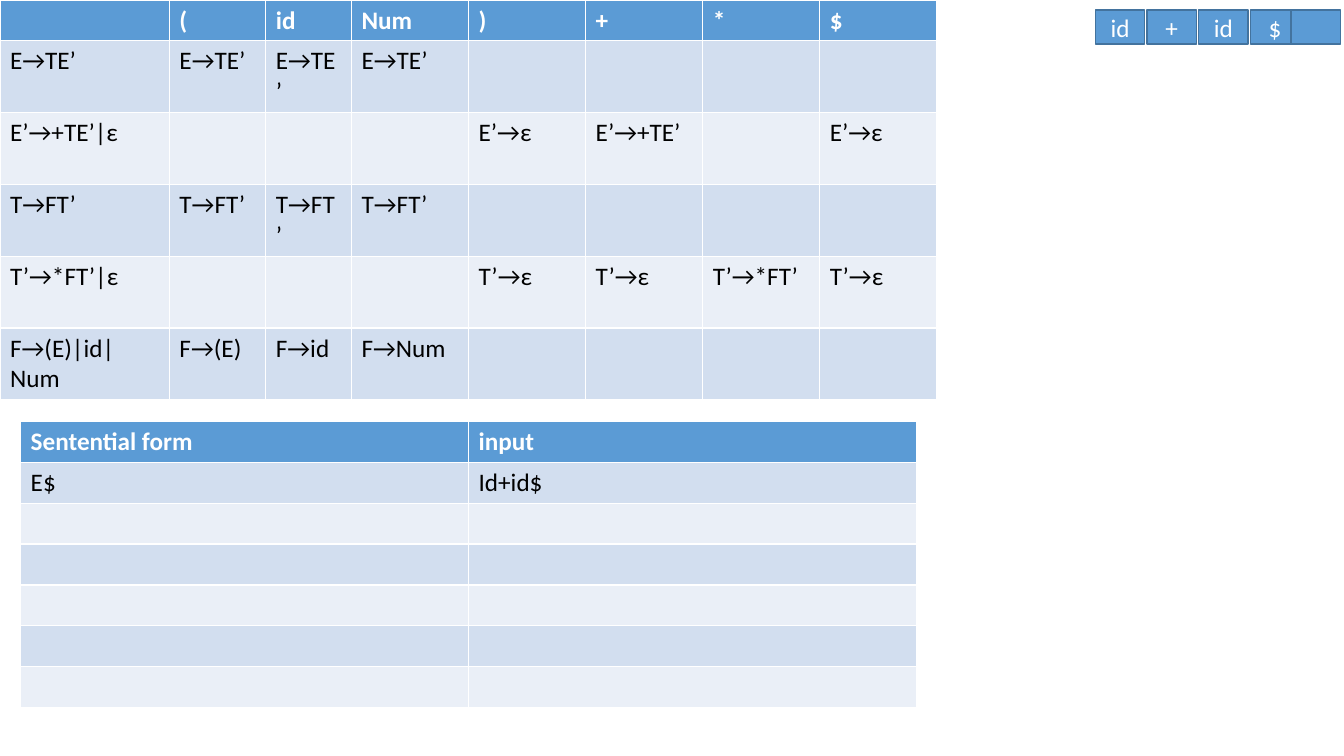
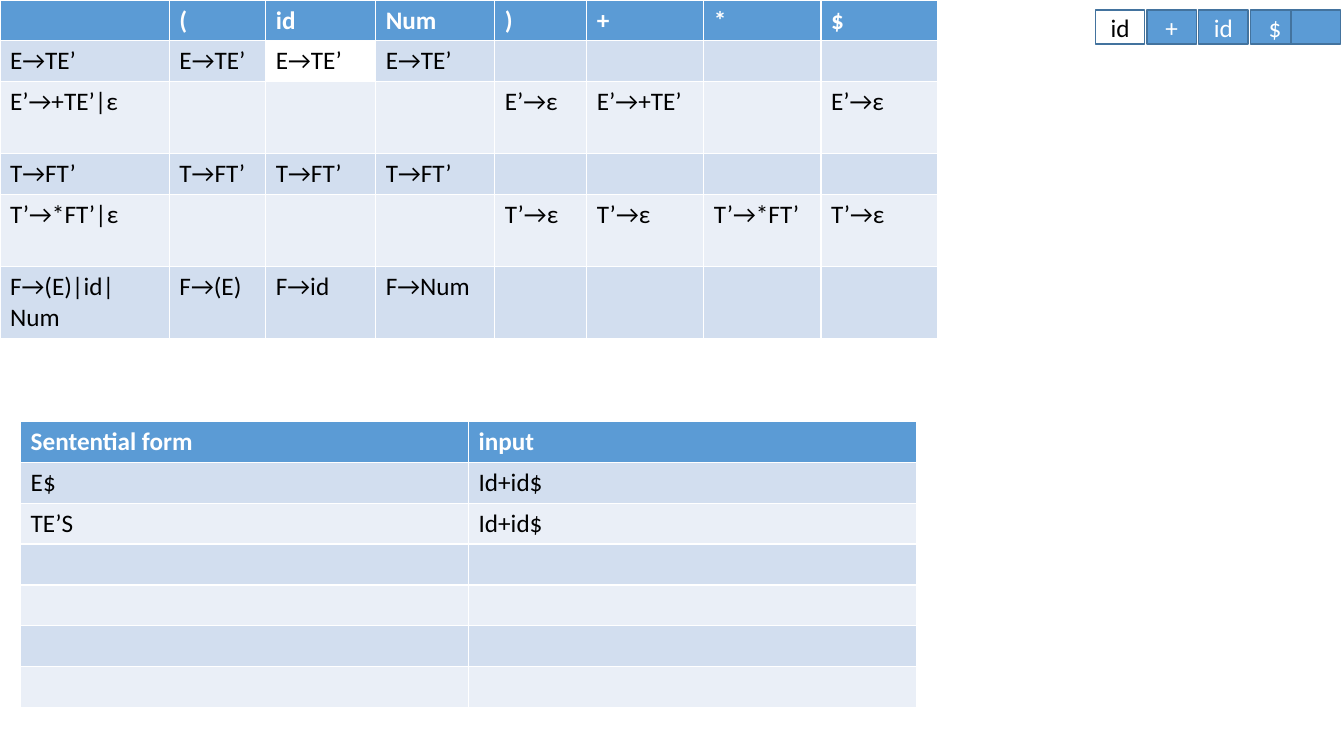
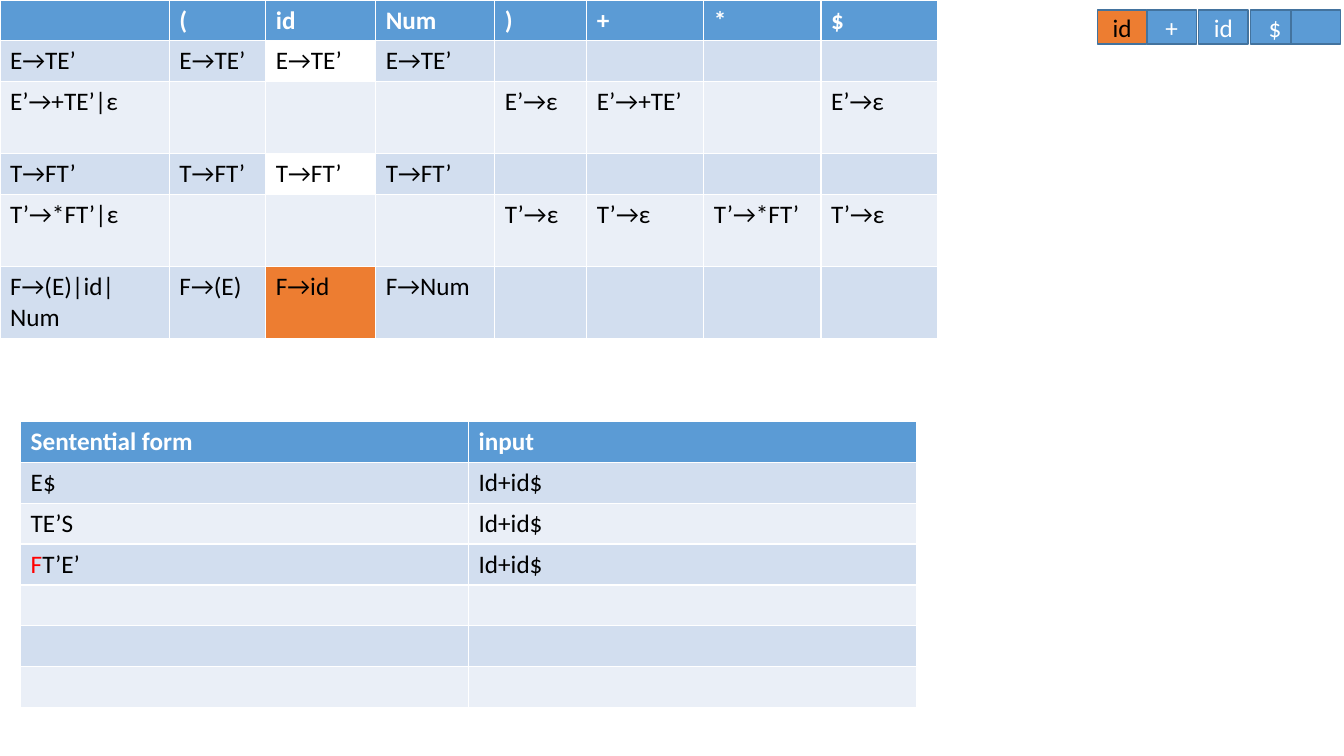
from dataclasses import dataclass, field
from typing import NamedTuple, Sequence

from pptx import Presentation
from pptx import util as u
from pptx.dml.color import RGBColor
from pptx.enum import shapes, text

BLUE = RGBColor(0x5B, 0x9B, 0xD5)
OUTLINE = RGBColor(0x43, 0x73, 0x9E)
BAND_DARK = RGBColor(0xD2, 0xDE, 0xEF)
BAND_LIGHT = RGBColor(0xEA, 0xEF, 0xF7)
ORANGE = RGBColor(0xED, 0x7D, 0x31)
RED = RGBColor(0xFF, 0x00, 0x00)
WHITE = RGBColor(0xFF, 0xFF, 0xFF)
BLACK = RGBColor(0x00, 0x00, 0x00)
FONT = "Calibri"
FONT_SIZE = u.Pt(18)

ONE_LINE, TWO_LINES = 1.03, 1.81
TOKEN_LEFT, TOKEN_STEP, TOKEN_TOP = 27.61, 1.3, 0.25
TOKEN_WIDTH, TOKEN_HEIGHT = 1.24, 0.86
END_LEFT = 32.54
TOKENS = ("id", "+", "id", "$")

PARSE_TABLE = (
    ("", "(", "id", "Num", ")", "+", "*", "$"),
    ("E→TE’", "E→TE’", "E→TE’", "E→TE’", "", "", "", ""),
    ("E’→+TE’|ε", "", "", "", "E’→ε", "E’→+TE’", "", "E’→ε"),
    ("T→FT’", "T→FT’", "T→FT’", "T→FT’", "", "", "", ""),
    ("T’→*FT’|ε", "", "", "", "T’→ε", "T’→ε", "T’→*FT’", "T’→ε"),
    ("F→(E)|id|Num", "F→(E)", "F→id", "F→Num", "", "", "", ""),
)
FIRST_COLUMNS = (4.27, 2.43, 2.16) + (2.95,) * 5
LATER_COLUMNS = (4.27, 2.43, 2.77, 3.0, 2.32) + (2.95,) * 3
DERIVATION_HEADER = ("Sentential form", "input")
DERIVATION_ROWS = 7


class Run(NamedTuple):
    text: str
    color: RGBColor


CellText = str | tuple[Run, ...]
Highlights = dict[tuple[int, int], RGBColor]


@dataclass
class Step:
    """One stage of the parse; highlights maps (row, column) to a fill."""
    forms: Sequence[CellText]
    columns: Sequence[float] = LATER_COLUMNS
    first_rule_height: float = ONE_LINE
    highlights: Highlights = field(default_factory=dict)
    token_left: float = TOKEN_LEFT
    token_fill: RGBColor = BLUE
    token_color: RGBColor = BLACK


STEPS = (
    Step(("E$",), FIRST_COLUMNS, TWO_LINES, token_color=WHITE),
    Step(("E$", "TE’S"), highlights={(1, 2): WHITE}, token_fill=WHITE),
    Step(
        ("E$", "TE’S", (Run("F", RED), Run("T’E’", BLACK))),
        highlights={(1, 2): WHITE, (3, 2): WHITE, (5, 2): ORANGE},
        token_left=27.66,
        token_fill=ORANGE,
    ),
)


def write_runs(paragraph, content: CellText, color: RGBColor, bold: bool = False) -> None:
    runs = (Run(content, color),) if isinstance(content, str) else content
    for part in runs:
        if not part.text:
            continue
        run = paragraph.add_run()
        run.text = part.text
        run.font.name = FONT
        run.font.size = FONT_SIZE
        run.font.bold = bold
        run.font.color.rgb = part.color


def draw_table(slide, left: float, top: float, columns: Sequence[float],
               heights: Sequence[float], rows: Sequence[Sequence[CellText]],
               highlights: Highlights) -> None:
    table = slide.shapes.add_table(
        len(rows), len(columns), u.Cm(left), u.Cm(top),
        u.Cm(sum(columns)), u.Cm(sum(heights))).table
    for column, width in zip(table.columns, columns):
        column.width = u.Cm(width)
    for row, height in zip(table.rows, heights):
        row.height = u.Cm(height)
    for i, row in enumerate(rows):
        header = i == 0
        band = BLUE if header else BAND_DARK if i % 2 else BAND_LIGHT
        for j, content in enumerate(row):
            cell = table.cell(i, j)
            cell.fill.solid()
            cell.fill.fore_color.rgb = highlights.get((i, j), band)
            write_runs(cell.text_frame.paragraphs[0], content,
                       WHITE if header else BLACK, header)


def draw_token(slide, left: float, label: str, fill: RGBColor = BLUE,
               color: RGBColor = WHITE) -> None:
    shape = slide.shapes.add_shape(
        shapes.MSO_SHAPE.RECTANGLE, u.Cm(left), u.Cm(TOKEN_TOP),
        u.Cm(TOKEN_WIDTH), u.Cm(TOKEN_HEIGHT))
    shape.shadow.inherit = False
    shape.fill.solid()
    shape.fill.fore_color.rgb = fill
    shape.line.color.rgb = OUTLINE
    shape.line.width = u.Pt(1)
    shape.text_frame.vertical_anchor = text.MSO_ANCHOR.MIDDLE
    paragraph = shape.text_frame.paragraphs[0]
    paragraph.alignment = text.PP_ALIGN.CENTER
    write_runs(paragraph, label, color)


def draw_step(slide, step: Step) -> None:
    heights = (ONE_LINE, step.first_rule_height, TWO_LINES,
               ONE_LINE, TWO_LINES, TWO_LINES)
    draw_table(slide, 0, 0, step.columns, heights, PARSE_TABLE, step.highlights)

    draw_token(slide, step.token_left, TOKENS[0], step.token_fill, step.token_color)
    for i, label in enumerate(TOKENS[1:], start=1):
        draw_token(slide, TOKEN_LEFT + i * TOKEN_STEP, label)
    draw_token(slide, END_LEFT, "")

    rows = [DERIVATION_HEADER] + [(form, "Id+id$") for form in step.forms]
    rows += [("", "")] * (DERIVATION_ROWS - len(rows))
    draw_table(slide, 0.52, 10.62, (11.29, 11.29),
               (ONE_LINE,) * DERIVATION_ROWS, rows, {})


def main() -> None:
    presentation = Presentation()
    presentation.slide_width = u.Cm(33.87)
    presentation.slide_height = u.Cm(19.05)
    blank = presentation.slide_layouts[6]
    for step in STEPS:
        draw_step(presentation.slides.add_slide(blank), step)
    presentation.save("out.pptx")


if __name__ == "__main__":
    main()
